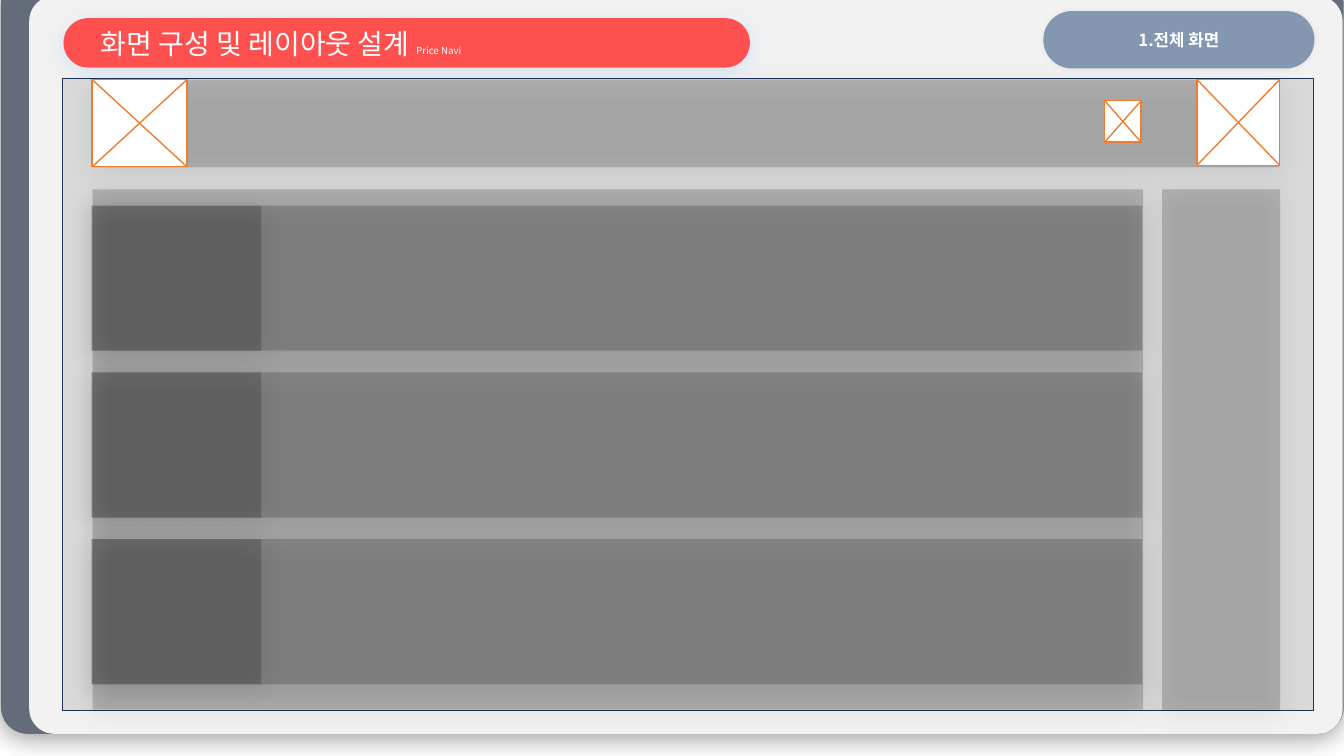
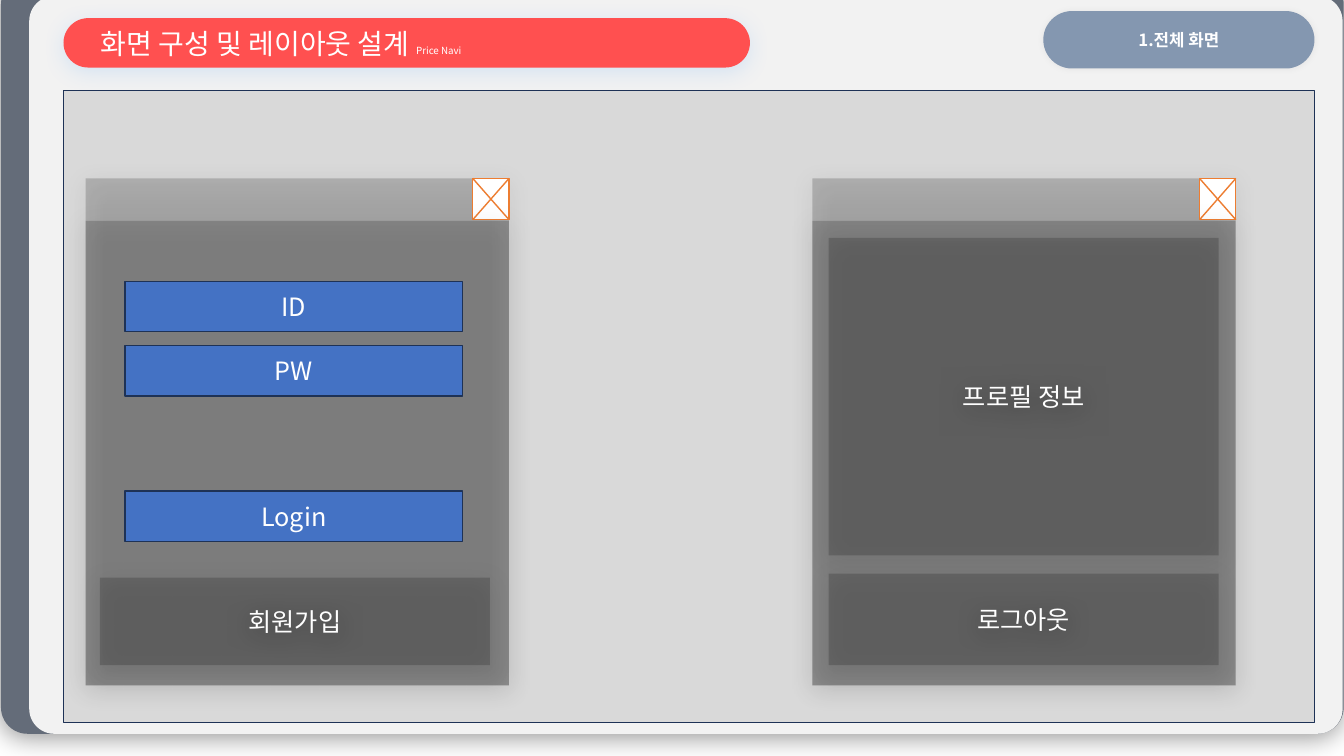
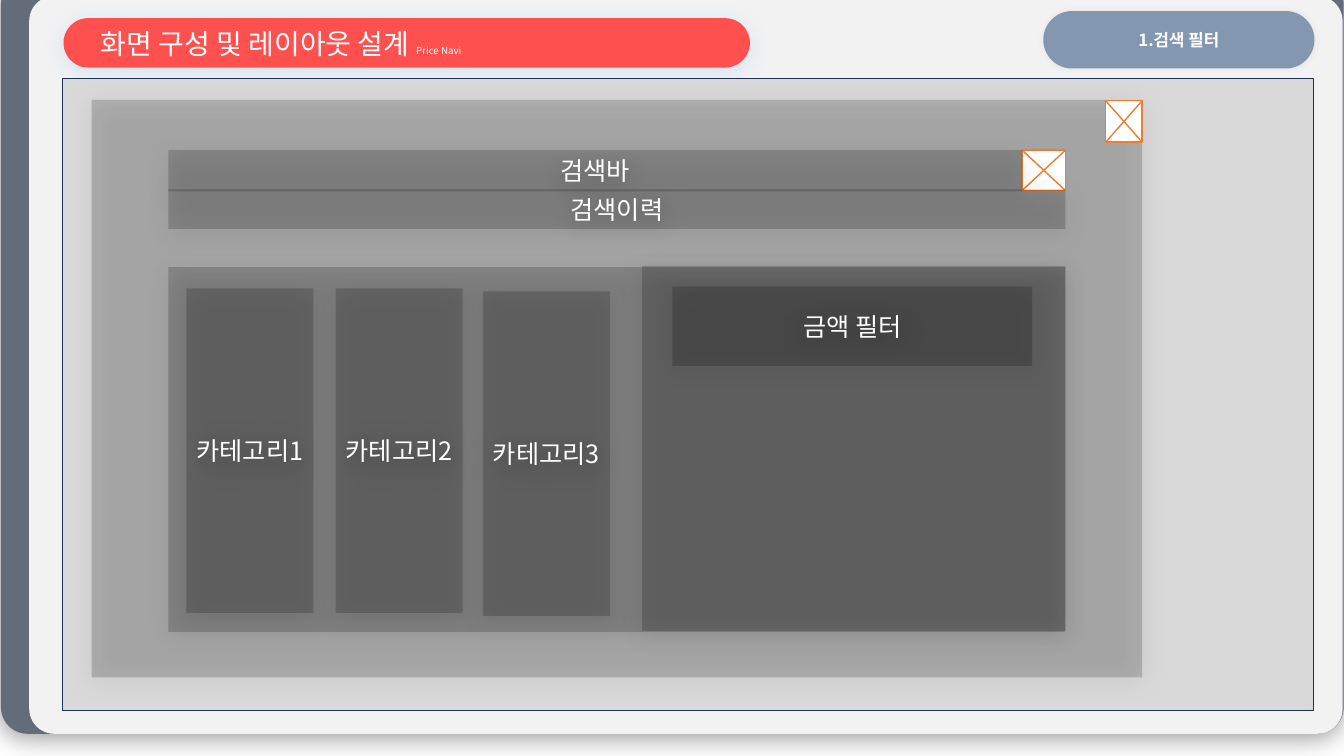
import pptx
import pptx.util
import pptx.dml.color
import pptx.enum.shapes
import pptx.enum.text
import pptx.oxml.ns
from lxml import etree

RGB = pptx.dml.color.RGBColor
SHAPE = pptx.enum.shapes.MSO_SHAPE
ALIGN = pptx.enum.text.PP_ALIGN
ANCHOR = pptx.enum.text.MSO_ANCHOR
qn = pptx.oxml.ns.qn

SLATE = RGB(0x64, 0x6C, 0x79)
PAPER = RGB(0xF2, 0xF2, 0xF2)
RED = RGB(0xFF, 0x50, 0x50)
SKY = RGB(0x48, 0x9B, 0xFB)
STEEL = RGB(0x84, 0x97, 0xB0)
CANVAS = RGB(0xD9, 0xD9, 0xD9)
NAVY = RGB(0x1E, 0x32, 0x56)
BLUE = RGB(0x44, 0x72, 0xC4)
ORANGE = RGB(0xED, 0x7D, 0x31)
BLACK = RGB(0, 0, 0)
WHITE = RGB(0xFF, 0xFF, 0xFF)

FONT = "Noto Sans CJK KR"
COLUMNS, ROWS = 133.33, 75
CELL = pptx.util.Inches(0.1)
DEEP_SHADOW = (BLACK, 40, 18, 3)
PILL_SHADOW = (SKY, 17, 15, 3)
TAG_SHADOW = (BLACK, 5, 5, 0)
FRAME_SIZE = (124.1, 62.7)
CLOSE_SIZE = (3.6, 4.1)


def grid(*cells):
    return [round(c * CELL) for c in cells]


def within(box, x, y, w, h):
    return box[0] + x, box[1] + y, w, h


def add_run(p, text, size, bold=False):
    r = p.add_run()
    r.text = text
    r.font.name = FONT
    r.font.size = pptx.util.Pt(size)
    r.font.bold = bold
    r.font.color.rgb = WHITE
    etree.SubElement(r.font._element, qn("a:ea"), typeface=FONT)


def set_alpha(color, percent):
    etree.SubElement(color, qn("a:alpha"), val=str(percent * 1000))


def add_shadow(sp, color, alpha, blur, dist):
    effects = sp.element.spPr.find(qn("a:effectLst"))
    outer = etree.SubElement(
        effects, qn("a:outerShdw"), blurRad=str(pptx.util.Pt(blur)),
        dist=str(pptx.util.Pt(dist)), dir="5400000", algn="t", rotWithShape="0")
    set_alpha(etree.SubElement(outer, qn("a:srgbClr"), val=str(color)), alpha)


def add_block(shapes, box, fill, line=None, shadow=None, radius=None,
              text=None, size=18, bold=False):
    kind = SHAPE.RECTANGLE if radius is None else SHAPE.ROUNDED_RECTANGLE
    sp = shapes.add_shape(kind, *grid(*box))
    if radius is not None:
        sp.adjustments[0] = radius
    sp.fill.solid()
    sp.fill.fore_color.rgb = fill
    if line is None:
        sp.line.fill.background()
    else:
        sp.line.color.rgb = line
        sp.line.width = pptx.util.Pt(1)
    sp.shadow.inherit = False
    if shadow:
        add_shadow(sp, *shadow)
    if text:
        tf = sp.text_frame
        tf.word_wrap = True
        tf.vertical_anchor = ANCHOR.MIDDLE
        p = tf.paragraphs[0]
        p.alignment = ALIGN.CENTER
        add_run(p, text, size, bold)
    return sp


def add_shade(s, box, text=None):
    sp = add_block(s.shapes, box, BLACK, shadow=DEEP_SHADOW, text=text)
    set_alpha(sp.element.spPr.find(qn("a:solidFill"))[0], 18)


def add_crossed_box(s, box):
    group = s.shapes.add_group_shape()
    add_block(group.shapes, box, WHITE, line=ORANGE)
    x, y, w, h = box
    for start, end in ((y + h, y), (y, y + h)):
        line = group.shapes.add_connector(
            pptx.enum.shapes.MSO_CONNECTOR.STRAIGHT, *grid(x, start, x + w, end))
        line.line.color.rgb = ORANGE
        line.line.width = pptx.util.Pt(1)
        etree.SubElement(line.element.spPr, qn("a:effectLst"))


def add_title(s, box):
    add_block(s.shapes, box, RED, shadow=PILL_SHADOW, radius=0.5)
    title = s.shapes.title
    s.shapes.element.append(title.element)
    title.left, title.top, title.width, title.height = grid(*box)
    tf = title.text_frame
    tf.auto_size = pptx.enum.text.MSO_AUTO_SIZE.NONE
    tf.word_wrap = True
    tf.vertical_anchor = ANCHOR.MIDDLE
    tf.margin_left = grid(3.7)[0]
    p = tf.paragraphs[0]
    p.alignment = ALIGN.LEFT
    add_run(p, "화면 구성 및 레이아웃 설계 ", 20)
    add_run(p, "Price Navi", 7)


def add_screen(prs, tag, left, top):
    s = prs.slides.add_slide(prs.slide_layouts[5])
    add_block(s.shapes, (0.1, -2.2, 133.2, 75), SLATE, shadow=DEEP_SHADOW, radius=0.035)
    add_block(s.shapes, (2.9, -0.4, 130.3, 73.2), PAPER, radius=0.034)
    add_title(s, (6.3, 1.8, 68.1, 4.9))
    frame = (left, top, *FRAME_SIZE)
    add_block(s.shapes, frame, CANVAS, line=NAVY)
    label = add_block(s.shapes, (103.5, 1.1, 26.9, 5.7), STEEL, shadow=TAG_SHADOW,
                      radius=0.5, text=tag, size=12, bold=True)
    label.text_frame.word_wrap = False
    return s, frame


def draw_main_screen(s, frame):
    add_shade(s, within(frame, 2.9, 0.1, 117.8, 8.7))
    add_shade(s, within(frame, 3, 11, 104.2, 51.6))
    add_crossed_box(s, within(frame, 2.95, 0.1, 9.4, 8.65))
    add_crossed_box(s, within(frame, 112.55, 0.1, 8.2, 8.5))
    add_crossed_box(s, within(frame, 103.4, 2.2, *CLOSE_SIZE))
    for i in range(3):
        row = within(frame, 2.9, 12.6 + 16.55 * i, 104.2, 14.4)
        add_shade(s, row)
        add_shade(s, within(row, 0, 0, 16.8, row[3]))
    add_shade(s, within(frame, 109.1, 11, 11.7, 51.7))


def draw_dialog(s, box, panels, fields=()):
    w, h = box[2:]
    bar = 4.2
    add_shade(s, box)
    add_crossed_box(s, within(box, w - CLOSE_SIZE[0], 0, *CLOSE_SIZE))
    add_shade(s, within(box, 0, bar, w, h - bar))
    for text, x, y, height in panels:
        add_shade(s, within(box, x, y, 38.7, height), text)
    for text, y in fields:
        add_block(s.shapes, within(box, 3.9, y, 33.5, 5), BLUE, line=NAVY, text=text)


def draw_account_screen(s, frame):
    draw_dialog(s, within(frame, 2.2, 8.7, 42, 50.3),
                [("회원가입", 1.4, 39.6, 8.7)],
                [("ID", 10.2), ("PW", 16.6), ("Login", 31)])
    draw_dialog(s, within(frame, 74.3, 8.7, 42, 50.3),
                [("프로필 정보", 1.6, 5.9, 31.5), ("로그아웃", 1.6, 39.2, 9.1)])


def draw_filter_screen(s, frame):
    panel = within(frame, 2.9, 2.1, 104.2, 57.3)
    add_shade(s, panel)
    add_crossed_box(s, within(panel, 92.3, 5, 4.3, 4))
    add_shade(s, within(panel, 7.6, 5, 84.7, 4.1), "검색바")
    add_shade(s, within(panel, 7.6, 8.9, 89, 3.9), "검색이력")
    add_shade(s, within(panel, 7.6, 16.6, 89, 36.2))
    add_crossed_box(s, within(panel, 100.6, 0.1, *CLOSE_SIZE))
    add_shade(s, within(panel, 54.6, 16.5, 42, 36.2))
    for number, (x, y) in enumerate([(9.4, 18.7), (24.2, 18.7), (38.8, 19)], 1):
        add_shade(s, within(panel, x, y, 12.6, 32.2), f"카테고리{number}")
    add_shade(s, within(panel, 57.6, 18.5, 35.7, 7.9), "금액 필터")


def main():
    prs = pptx.Presentation()
    prs.slide_width, prs.slide_height = grid(COLUMNS, ROWS)
    screens = [
        ("1.전체 화면", 6.2, 7.8, draw_main_screen),
        ("1.전체 화면", 6.3, 9, draw_account_screen),
        ("1.검색 필터", 6.2, 7.8, draw_filter_screen),
    ]
    for tag, left, top, draw in screens:
        draw(*add_screen(prs, tag, left, top))
    prs.save("out.pptx")


if __name__ == "__main__":
    main()
